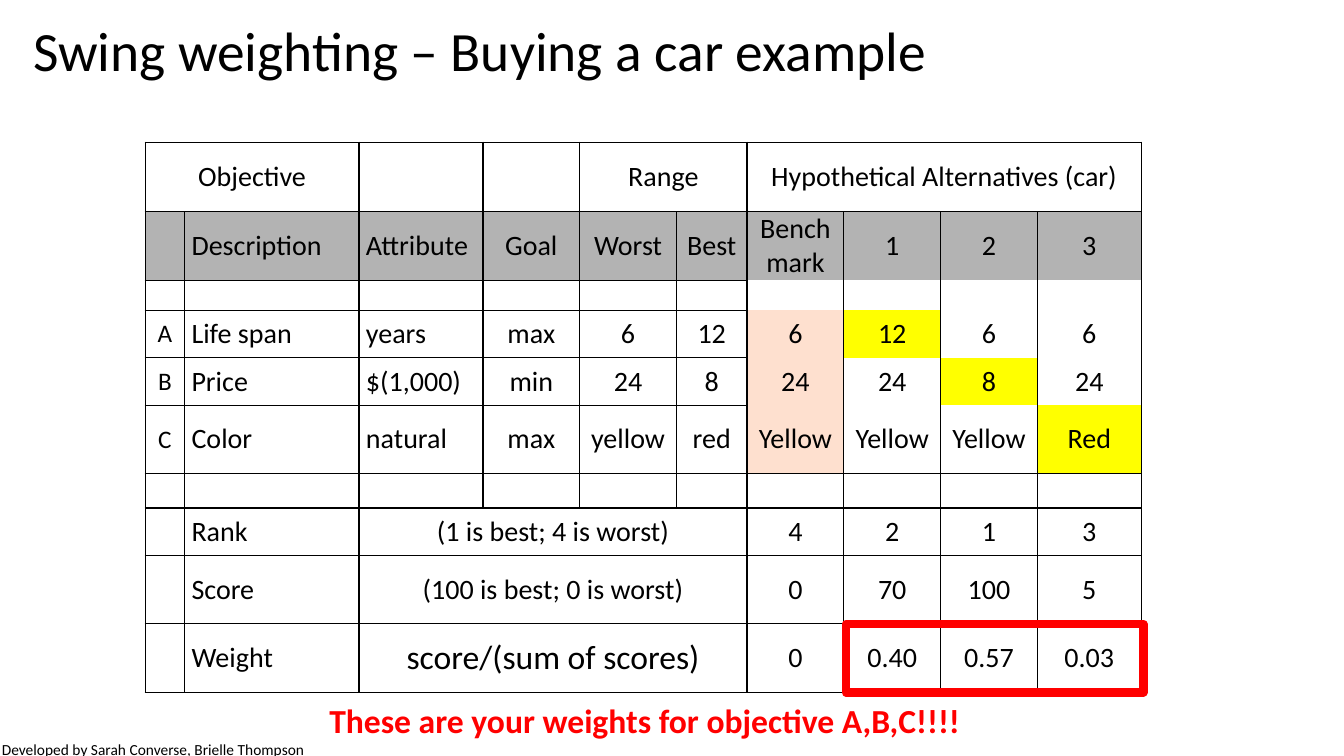
from pptx import Presentation
from pptx import util as u
from pptx.dml.color import RGBColor
from pptx.enum import shapes, text
from pptx.oxml.ns import qn
from lxml import etree

COLORS = {"ink": "000000", "header": "B3B3B3", "benchmark": "FEE0CF",
          "swing": "FFFF00", "alert": "FF0000"}
FONT = "Calibri"
SLIDE_W, SLIDE_H = 13.33, 7.5
COLUMNS = [0.39, 1.73, 1.23, 0.96, 0.96, 0.7, 0.96, 0.96, 0.96, 1.03]
ROWS = [0.69, 0.68, 0.3, 0.47, 0.47, 0.68, 0.34, 0.47, 0.68, 0.68]
BENCHMARK, FIRST_CAR = 6, 7
HEADER_ROW, FIRST_OBJECTIVE, LAST_OBJECTIVE = 1, 3, 5

CELLS = [
    ["Objective", "", "", "", "Range", "", "Hypothetical Alternatives (car)", "", "", ""],
    ["", "Description", "Attribute", "Goal", "Worst", "Best", "Benchmark", "1", "2", "3"],
    [""] * 10,
    ["A", "Life span", "years", "max", "6", "12", "6", "12", "6", "6"],
    ["B", "Price", "$(1,000)", "min", "24", "8", "24", "24", "8", "24"],
    ["C", "Color", "natural", "max", "yellow", "red", "Yellow", "Yellow", "Yellow", "Red"],
    [""] * 10,
    ["", "Rank", "(1 is best; 4 is worst)", "", "", "", "4", "2", "1", "3"],
    ["", "Score", "(100 is best; 0 is worst)", "", "", "", "0", "70", "100", "5"],
    ["", "Weight", "score/(sum of scores)", "", "", "", "0", "0.40", "0.57", "0.03"],
]
# (row, first column, last column)
SPANS = [(0, 0, 1), (0, 4, 5), (0, 6, 9), (7, 2, 5), (8, 2, 5), (9, 2, 5)]


def rgb(name):
    return RGBColor.from_string(COLORS[name])


def write(paragraph, words, size, color="ink", bold=False, align=text.PP_ALIGN.LEFT):
    paragraph.alignment = align
    run = paragraph.add_run()
    run.text = words
    for key, value in {"name": FONT, "size": u.Pt(size), "bold": bold}.items():
        setattr(run.font, key, value)
    run.font.color.rgb = rgb(color)


def add_line(slide, box, words, size, anchor=text.MSO_ANCHOR.TOP, spacing=None, **style):
    frame = slide.shapes.add_textbox(*map(u.Inches, box)).text_frame
    frame.word_wrap = True
    frame.vertical_anchor = anchor
    frame.paragraphs[0].line_spacing = spacing
    write(frame.paragraphs[0], words, size, **style)


def cell_color(row, col):
    """Grey header, tinted benchmark, and one swung objective per car."""
    if row == HEADER_ROW:
        return "header"
    if FIRST_OBJECTIVE <= row <= LAST_OBJECTIVE:
        if col == BENCHMARK:
            return "benchmark"
        if row - FIRST_OBJECTIVE == col - FIRST_CAR:
            return "swing"
    return None


def draw_borders(cell, row, col):
    """Rule every side, leaving the car columns open between their rows."""
    is_car = col >= BENCHMARK
    hidden = {"lnT": is_car and HEADER_ROW < row <= LAST_OBJECTIVE,
              "lnB": is_car and HEADER_ROW <= row < LAST_OBJECTIVE}
    properties = cell._tc.get_or_add_tcPr()
    for side in ("lnL", "lnR", "lnT", "lnB"):
        line = etree.SubElement(properties, qn("a:" + side), w=str(u.Pt(1)))
        if hidden.get(side):
            etree.SubElement(line, qn("a:noFill"))
        else:
            fill = etree.SubElement(line, qn("a:solidFill"))
            etree.SubElement(fill, qn("a:srgbClr"), val=COLORS["ink"])


def fill_cell(cell, row, col, words):
    margins = {"margin_left": 0.07, "margin_right": 0.07, "margin_top": 0, "margin_bottom": 0}
    for key, value in margins.items():
        setattr(cell, key, u.Inches(value))
    cell.vertical_anchor = text.MSO_ANCHOR.MIDDLE
    draw_borders(cell, row, col)
    color = cell_color(row, col)
    if color:
        cell.fill.solid()
        cell.fill.fore_color.rgb = rgb(color)
    else:
        cell.fill.background()
    if words:
        size = 18 if words in ("A", "B", "C") else 24 if words.startswith("score/") else 20
        is_label = row > 0 and (col == 1 or words in ("Attribute", "years", "$(1,000)", "natural"))
        align = text.PP_ALIGN.LEFT if is_label else text.PP_ALIGN.CENTER
        write(cell.text_frame.paragraphs[0], words, size, align=align)


def add_weighting_table(slide, left, top):
    frame = slide.shapes.add_table(len(ROWS), len(COLUMNS), *map(
        u.Inches, (left, top, sum(COLUMNS), sum(ROWS))))
    table = frame.table
    table.first_row = table.horz_banding = False
    for column, width in zip(table.columns, COLUMNS):
        column.width = u.Inches(width)
    for row, height in zip(table.rows, ROWS):
        row.height = u.Inches(height)
    for row, line in enumerate(CELLS):
        for col, words in enumerate(line):
            fill_cell(table.cell(row, col), row, col, words)
    for row, first, last in SPANS:
        table.cell(row, first).merge(table.cell(row, last))


def add_weights_frame(slide, left, top):
    """Outline the car weights in the last row of the table at left, top."""
    box = (left + sum(COLUMNS[:FIRST_CAR]) + 0.02, top + sum(ROWS[:-1]),
           sum(COLUMNS[FIRST_CAR:]), ROWS[-1])
    frame = slide.shapes.add_shape(shapes.MSO_SHAPE.RECTANGLE, *map(u.Inches, box))
    frame.shadow.inherit = False
    frame.fill.background()
    frame.line.color.rgb = rgb("alert")
    frame.line.width = u.Pt(6)


def build_slide(slide, table_left=1.44, table_top=1.41):
    add_line(slide, (0.23, 0.19, 11.5, 0.68), "Swing weighting – Buying a car example",
             39.6, text.MSO_ANCHOR.MIDDLE, 0.9)
    add_line(slide, (-0.08, 7.29, 9.8, 0.29), "Developed by Sarah Converse, Brielle Thompson", 11)
    add_weighting_table(slide, table_left, table_top)
    add_weights_frame(slide, table_left, table_top)
    add_line(slide, (1.81, 6.89, 9.17, 0.5), "These are your weights for objective A,B,C!!!!",
             24, color="alert", bold=True, align=text.PP_ALIGN.CENTER)


def main():
    deck = Presentation()
    deck.slide_width, deck.slide_height = u.Inches(SLIDE_W), u.Inches(SLIDE_H)
    build_slide(deck.slides.add_slide(deck.slide_layouts[6]))
    deck.save("out.pptx")


if __name__ == "__main__":
    main()
